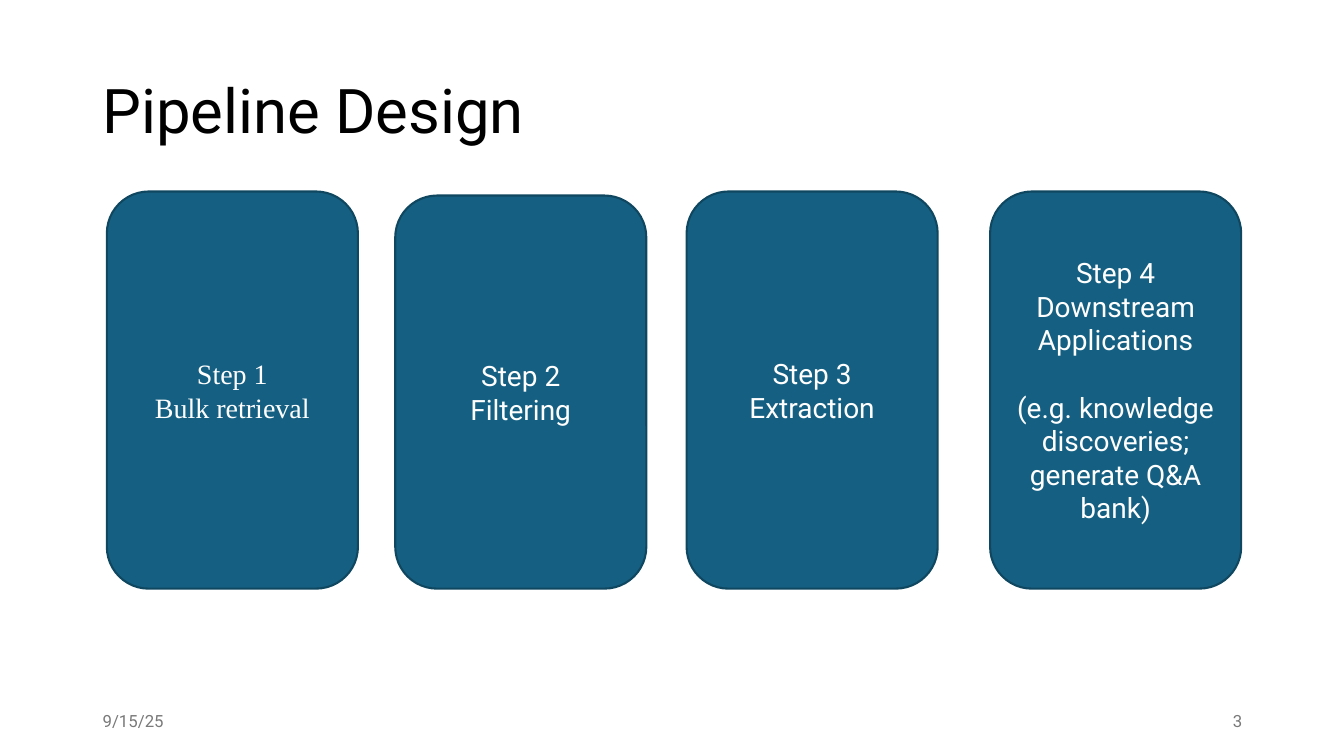
import pptx
import pptx.util
import pptx.dml.color
import pptx.enum.shapes
import pptx.enum.text
from pptx.util import Inches

COLORS = {"title": "000000", "footer": "797979", "card": "156082",
          "border": "104760", "card_text": "FFFFFF"}
ALIGN = pptx.enum.text.PP_ALIGN


def rgb(name):
    return pptx.dml.color.RGBColor.from_string(COLORS[name])


class SlideBuilder:
    """Holds the style and the current slide."""

    font_name = "Roboto"

    def __init__(self, presentation):
        self.slide = presentation.slides.add_slide(presentation.slide_layouts[6])

    def set_text(self, shape, lines, size, color, align, font_name=None):
        frame = shape.text_frame
        frame.word_wrap = True
        frame.vertical_anchor = pptx.enum.text.MSO_ANCHOR.MIDDLE
        frame.text = "\n".join(lines)
        for paragraph in frame.paragraphs:
            paragraph.alignment = align
            paragraph.font.name = font_name or self.font_name
            paragraph.font.size = pptx.util.Pt(size)
            paragraph.font.color.rgb = rgb(color)
        return frame.paragraphs

    def text(self, left, top, width, height, text, size, color, align=ALIGN.LEFT):
        box = self.slide.shapes.add_textbox(
            Inches(left), Inches(top), Inches(width), Inches(height))
        return self.set_text(box, [text], size, color, align)

    def card(self, left, top, width, height, lines, font_name=None):
        shape = self.slide.shapes.add_shape(
            pptx.enum.shapes.MSO_SHAPE.ROUNDED_RECTANGLE,
            Inches(left), Inches(top), Inches(width), Inches(height))
        shape.shadow.inherit = False
        shape.fill.solid()
        shape.fill.fore_color.rgb = rgb("card")
        shape.line.color.rgb = rgb("border")
        shape.line.width = pptx.util.Pt(1.5)
        return self.set_text(shape, lines, 20, "card_text", ALIGN.CENTER, font_name)


def main():
    presentation = pptx.Presentation()
    presentation.slide_width = Inches(13.33)
    presentation.slide_height = Inches(7.5)
    builder = SlideBuilder(presentation)

    # Title
    title = builder.text(0.92, 0.4, 11.5, 1.45, "Pipeline Design", 44, "title")
    title[0].line_spacing = 0.9

    # Pipeline steps, all ending on the same lower edge
    bottom = 5.84
    steps = [
        (1.06, 1.9, ["Step 1", "Bulk retrieval"], "Times New Roman"),
        (3.92, 1.94, ["Step 2", "Filtering"], None),
        (6.81, 1.9, ["Step 3", "Extraction"], None),
        (9.82, 1.9, ["Step 4", "Downstream Applications",
                     "(e.g. knowledge discoveries; generate Q&A bank)"], None),
    ]
    for left, top, lines, font_name in steps:
        paragraphs = builder.card(left, top, 2.49, bottom - top, lines, font_name)
        # Set the examples apart from the step name
        for example in paragraphs[2:]:
            example.space_before = pptx.util.Pt(24)

    # Date and slide number
    builder.text(0.92, 6.95, 3, 0.4, "9/15/25", 12, "footer")
    builder.text(9.42, 6.95, 3, 0.4, "3", 12, "footer", ALIGN.RIGHT)

    presentation.save("out.pptx")


if __name__ == "__main__":
    main()
